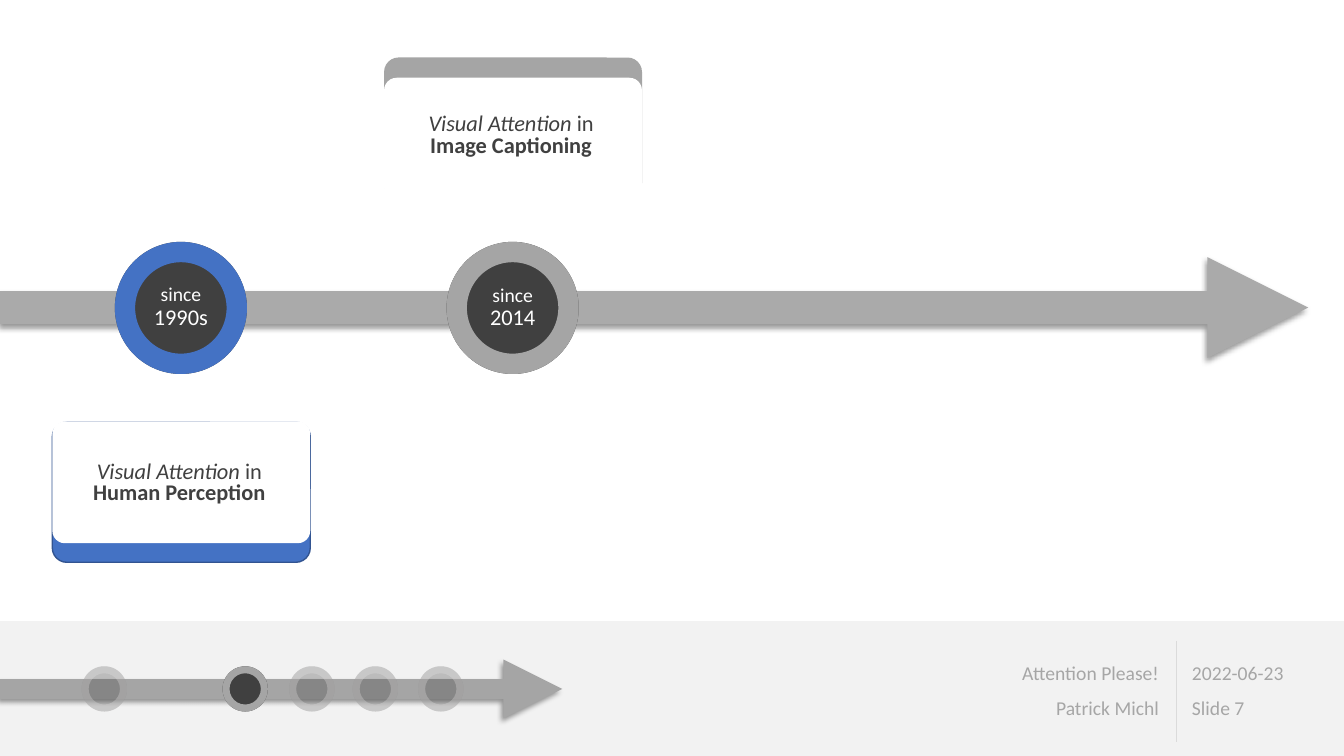
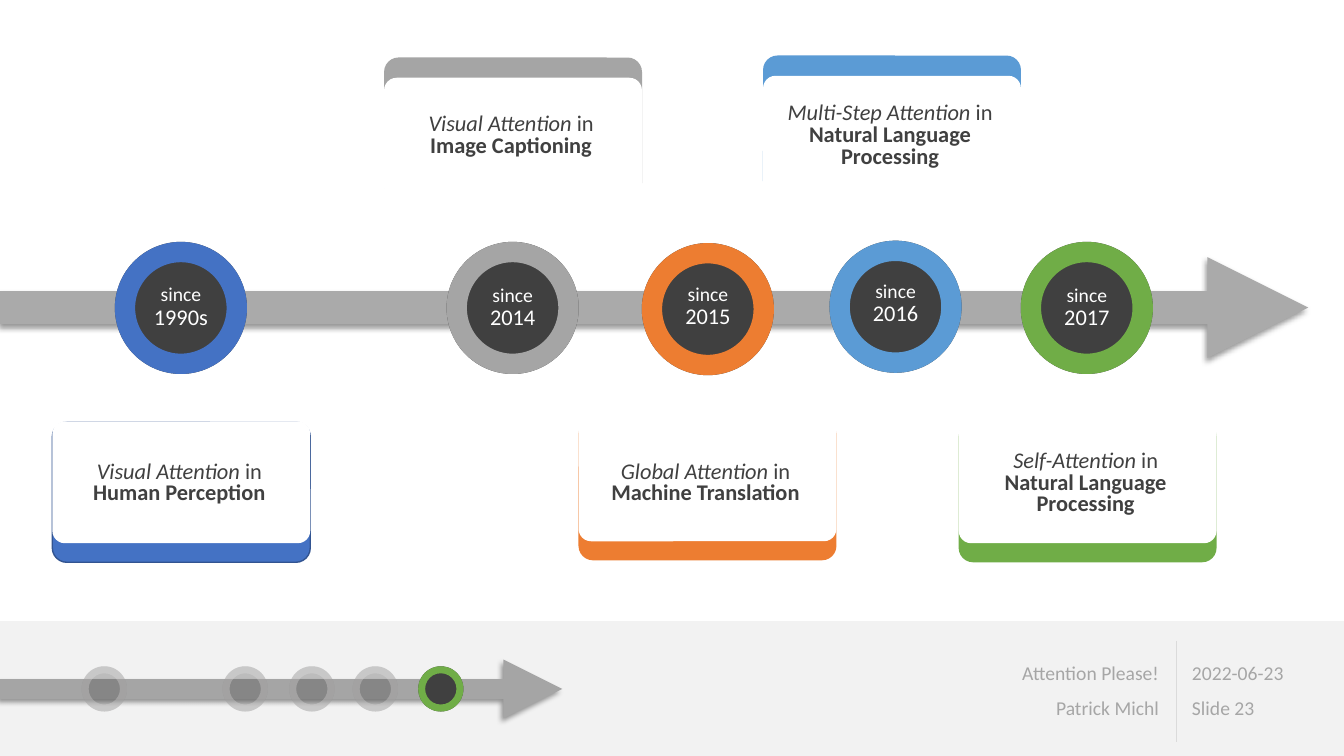
"""Build two timeline slides on the history of attention."""
from copy import deepcopy

from lxml import etree
from pptx import Presentation
from pptx import util as u
from pptx.dml import color
from pptx.enum import shapes, text
from pptx.oxml import ns

WIDTH, HEIGHT = 33.87, 19.05
DARK, WHITE, FOOTER_GREY = "404040", "FFFFFF", "A6A6A6"
FADED, FADED_OPACITY = "E7E6E6", 30

STOPS = [
    {"year": "1990s", "colour": "4472C4", "centre": (4.56, 7.76), "year_y": 7.75,
     "card": (1.32, 10.64), "outline": "325491", "marker_x": 2.63,
     "method": "Visual Attention", "field": "Human Perception"},
    {"year": "2014", "colour": "A5A5A5", "centre": (12.92, 7.76), "year_y": 7.76,
     "card": (9.68, 1.45), "marker_x": 6.18,
     "method": "Visual Attention", "field": "Image Captioning"},
    {"year": "2015", "colour": "ED7D31", "centre": (17.84, 7.79), "year_y": 7.73,
     "card": (14.58, 10.59), "marker_x": 7.86,
     "method": "Global Attention", "field": "Machine Translation"},
    {"year": "2016", "colour": "5B9BD5", "centre": (22.57, 7.73), "year_y": 7.66,
     "card": (19.23, 1.4), "marker_x": 9.46,
     "method": "Multi-Step Attention", "field": "Natural Language\nProcessing"},
    {"year": "2017", "colour": "70AD47", "centre": (27.39, 7.76), "year_y": 7.76,
     "card": (24.16, 10.64), "marker_x": 11.11,
     "method": "Self-Attention", "field": "Natural Language\nProcessing"},
]
SLIDES = [
    {"number": 7, "shown": 2, "active": 1},
    {"number": 23, "shown": 5, "active": 4},
]

AXIS_Y, AXIS_END = 7.75, 32.97
MARKER_Y, MARKER_END = 17.36, 14.17
RING, MARKER = 3.33, 1.14
CARD_W, CARD_H, PANEL_H = 6.5, 3.53, 3.07
CARD_TEXT_Y = {"above": 3.43, "below": 12.19}
CARD_INSETS = (0.25, 0.13, 0.25, 0.13)
YEAR_INSETS = (0.2, 0.13, 0.2, 0.13)
FOOTER_INSETS = (0.25, 0.13, 0.1, 0.13)


def rgb(value):
    """Turn a hex string into a colour."""
    return color.RGBColor.from_string(value)


def apply(target, values):
    """Set every named attribute on the target."""
    for name, value in values.items():
        setattr(target, name, value)


def add_child(parent, tag, **attributes):
    """Append a DrawingML element."""
    return etree.SubElement(parent, ns.qn(tag), attributes)


def add_shape(container, kind, box, fill, opacity=100, outline=None, adjust=None):
    """Draw a flat preset shape."""
    shape = container.add_shape(kind, *map(u.Cm, box))
    shape.shadow.inherit = False
    shape.fill.solid()
    shape.fill.fore_color.rgb = rgb(fill)
    if opacity < 100:
        solid = shape.fill._xPr.find(ns.qn("a:solidFill"))
        add_child(solid[0], "a:alpha", val=str(opacity * 1000))
    if outline:
        shape.line.color.rgb = rgb(outline)
        shape.line.width = u.Pt(1)
    else:
        shape.line.fill.background()
    if adjust is not None:
        shape.adjustments[0] = adjust
    return shape


def add_line(slide, start, end, colour, width, arrow=False):
    """Draw a straight line, or an arrow with a soft shadow."""
    connector = slide.shapes.add_connector(
        shapes.MSO_CONNECTOR.STRAIGHT, *map(u.Cm, start + end))
    connector.line.color.rgb = rgb(colour)
    connector.line.width = u.Pt(width)
    properties = connector._element.spPr
    effects = add_child(properties, "a:effectLst")
    if arrow:
        add_child(properties.find(ns.qn("a:ln")), "a:tailEnd", type="triangle")
        shadow = add_child(effects, "a:outerShdw", blurRad=str(u.Pt(4)),
                           dist=str(u.Pt(3)), dir="8100000",
                           algn="tr", rotWithShape="0")
        black = add_child(shadow, "a:srgbClr", val="000000")
        add_child(black, "a:alpha", val="40000")


def add_run(paragraph, words, colour, font):
    """Add formatted words, with a line break at each newline."""
    for index, line in enumerate(words.split("\n")):
        if index:
            paragraph.add_line_break()
            paragraph._p[-1].append(deepcopy(run._r.rPr))
        run = paragraph.add_run()
        run.text = line
        apply(run.font, {"name": "Calibri", **font})
        run.font.color.rgb = rgb(colour)


def add_text(slide, box, paragraphs, colour, insets, align, spacing):
    """Place paragraphs, each a list of (words, font) runs, in a box."""
    frame = slide.shapes.add_textbox(*map(u.Cm, box)).text_frame
    sides = ("margin_left", "margin_top", "margin_right", "margin_bottom")
    apply(frame, {"word_wrap": True, "vertical_anchor": text.MSO_ANCHOR.MIDDLE,
                  **dict(zip(sides, map(u.Cm, insets)))})
    for index, runs in enumerate(paragraphs):
        paragraph = frame.add_paragraph() if index else frame.paragraphs[0]
        apply(paragraph, {"alignment": align, "line_spacing": spacing,
                          "space_before": u.Pt(10 if index else 0)})
        for words, font in runs:
            add_run(paragraph, words, colour, font)


def centred(x, y, width, height):
    """Give the box of this size around a centre."""
    return x - width / 2, y - height / 2, width, height


def add_ring(slide, centre, size, colour, opacity=100):
    """Draw a dark disc with a coloured rim."""
    group = slide.shapes.add_group_shape()
    box = centred(*centre, size, size)
    add_shape(group.shapes, shapes.MSO_SHAPE.OVAL, box, DARK, opacity)
    add_shape(group.shapes, shapes.MSO_SHAPE.DONUT, box, colour, opacity, adjust=0.154)


def add_footer(slide, number):
    """Draw the band with talk, speaker, date and slide number."""
    add_shape(slide.shapes, shapes.MSO_SHAPE.RECTANGLE,
              (0, 15.65, WIDTH, HEIGHT - 15.65), "F2F2F2")
    columns = [
        (29.79, 3.76, text.PP_ALIGN.LEFT, ("2022-06-23", f"Slide {number}")),
        (22.96, 6.35, text.PP_ALIGN.RIGHT, ("Attention Please!", "Patrick Michl")),
    ]
    for left, width, align, lines in columns:
        paragraphs = [[(line, {"size": u.Pt(14)})] for line in lines]
        add_text(slide, (left, 16.23, width, 2.39), paragraphs, FOOTER_GREY,
                 FOOTER_INSETS, align, 0.9)
    add_line(slide, (29.64, 16.15), (29.64, 18.69), "DBDBDB", 0.5)


def add_card(slide, stop):
    """Draw the card of a stop, with its coloured edge away from the axis."""
    left, top = stop["card"]
    above = top < AXIS_Y
    group = slide.shapes.add_group_shape()
    rounded = shapes.MSO_SHAPE.ROUNDED_RECTANGLE
    add_shape(group.shapes, rounded, (left, top, CARD_W, CARD_H), stop["colour"],
              outline=stop.get("outline"), adjust=0.103)
    panel_top = top + (0.51 if above else -0.02)
    add_shape(group.shapes, rounded, (left, panel_top, CARD_W, PANEL_H), WHITE,
              adjust=0.103)
    size = {"size": u.Pt(16)}
    runs = [(stop["method"], {**size, "italic": True}), (" in\n", size),
            (stop["field"], {**size, "bold": True})]
    centre = left + CARD_W / 2 - 0.05, CARD_TEXT_Y["above" if above else "below"]
    add_text(slide, centred(*centre, 6.1, 2.5), [runs], DARK, CARD_INSETS,
             text.PP_ALIGN.CENTER, 0.8)


def add_stop(slide, stop):
    """Draw the ring, year and card of one stop."""
    add_ring(slide, stop["centre"], RING, stop["colour"])
    add_card(slide, stop)
    runs = [("since\n", {"size": u.Pt(14)}), (stop["year"], {"size": u.Pt(16)})]
    add_text(slide, centred(stop["centre"][0], stop["year_y"], 2, 1.7), [runs],
             WHITE, YEAR_INSETS, text.PP_ALIGN.CENTER, 0.9)


def add_progress(slide, active):
    """Draw the small timeline with the active stop highlighted."""
    add_line(slide, (0, MARKER_Y), (MARKER_END, MARKER_Y), "A5A5A5", 14, arrow=True)
    for index, stop in enumerate(STOPS):
        look = (stop["colour"],) if index == active else (FADED, FADED_OPACITY)
        add_ring(slide, (stop["marker_x"], MARKER_Y), MARKER, *look)


def main():
    """Build and save the presentation."""
    presentation = Presentation()
    apply(presentation, {"slide_width": u.Cm(WIDTH), "slide_height": u.Cm(HEIGHT)})
    for page in SLIDES:
        slide = presentation.slides.add_slide(presentation.slide_layouts[6])
        add_footer(slide, page["number"])
        add_line(slide, (0, AXIS_Y), (AXIS_END, AXIS_Y), "AAAAAA", 24, arrow=True)
        for stop in STOPS[:page["shown"]]:
            add_stop(slide, stop)
        add_progress(slide, page["active"])
    presentation.save("out.pptx")


if __name__ == "__main__":
    main()
